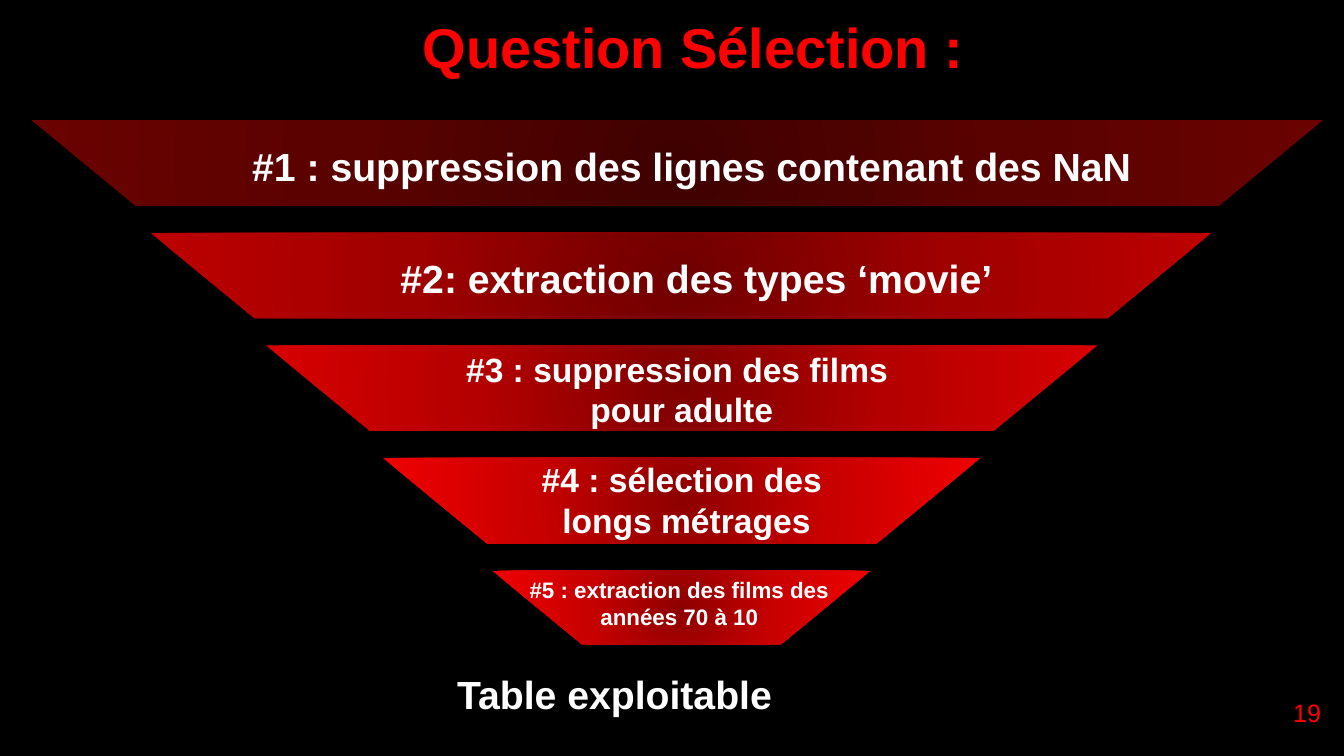
from pptx import Presentation
from pptx.dml.color import RGBColor
from pptx.enum.shapes import MSO_SHAPE
from pptx.enum.text import MSO_ANCHOR, MSO_AUTO_SIZE, PP_ALIGN
from pptx.oxml import parse_xml
from pptx.oxml.ns import nsdecls
from pptx.util import Pt

TRAPEZOID = MSO_SHAPE.TRAPEZOID
TOP = MSO_ANCHOR.TOP
NO_FIT = MSO_AUTO_SIZE.NONE
LEFT, CENTER = PP_ALIGN.LEFT, PP_ALIGN.CENTER

COLORS = {"background": "000000", "accent": "FF0000", "text": "FFFFFF"}
GRADIENTS = {
    "darkest": ("3F0100", "590200", "6A0200"),
    "dark": ("700000", "9F0000", "BD0000"),
    "medium": ("7F0000", "B50000", "D70000"),
    "bright": ("8E0000", "C90000", "EF0000"),
}

prs = Presentation()
prs.slide_width, prs.slide_height = Pt(960), Pt(540)
s = prs.slides.add_slide(prs.slide_layouts[5])
s.background.fill.solid()
s.background.fill.fore_color.rgb = RGBColor.from_string(COLORS["background"])


def write_text(text, box, sp=None, size=28, color="text", bold=True, align=CENTER):
    left, top, width, height = map(Pt, box)
    if sp is None:
        sp = s.shapes.add_textbox(left, top, width, height)
    sp.left, sp.top, sp.width, sp.height = left, top, width, height
    tf = sp.text_frame
    tf.word_wrap = True
    tf.auto_size = NO_FIT
    tf.vertical_anchor = TOP
    tf.text = text
    for p in tf.paragraphs:
        p.alignment = align
        p.font.name = "Arial"
        p.font.size = Pt(size)
        p.font.bold = bold
        p.font.color.rgb = RGBColor.from_string(COLORS[color])


def fill_radial(sp, colors):
    stops = "".join(
        f'<a:gs pos="{i * 50000}"><a:srgbClr val="{c}"/></a:gs>'
        for i, c in enumerate(colors)
    )
    grad = parse_xml(
        f'<a:gradFill {nsdecls("a")} rotWithShape="1"><a:gsLst>{stops}</a:gsLst>'
        '<a:path path="circle">'
        '<a:fillToRect l="50000" t="50000" r="50000" b="50000"/>'
        "</a:path></a:gradFill>"
    )
    sp.fill.solid()
    solid = sp.fill._xPr.solidFill
    solid.getparent().replace(solid, grad)


write_text("Question Sélection :", (175, 5, 640, 55.5), sp=s.shapes.title,
           size=40, color="accent")

funnel = [
    (22.5, 922.5, 61, "darkest", "#1 : suppression des lignes contenant des NaN",
     (115, 98, 758, 41), 28),
    (107.5, 758, 61, "dark", " #2: extraction des types ‘movie’",
     (244, 178, 499, 41), 28),
    (190, 594, 61, "medium", "#3 : suppression des films \npour adulte",
     (268.5, 245.5, 437, 65.5), 24),
    (273.5, 427, 61, "bright", "#4 : sélection des\n longs métrages",
     (306, 324.5, 362, 65.5), 24),
    (351.5, 270.5, 52.5, "bright", " #5 : extraction des films des\n années 70 à 10",
     (250.5, 408, 465, 46), 16),
]

for i, (left, width, height, gradient, label, box, size) in enumerate(funnel):
    sp = s.shapes.add_shape(TRAPEZOID, Pt(left), Pt(85.9 + 80.4 * i),
                            Pt(width), Pt(height))
    sp.adjustments[0] = 1.219
    sp.rotation = 180
    sp.shadow.inherit = False
    sp.line.fill.background()
    fill_radial(sp, GRADIENTS[gradient])
    write_text(label, box, size=size)

write_text("Table exploitable", (319.5, 475, 282, 41), align=LEFT)
write_text("19", (916.5, 494.5, 43, 29), size=18, color="accent", bold=False, align=LEFT)

prs.save("out.pptx")
